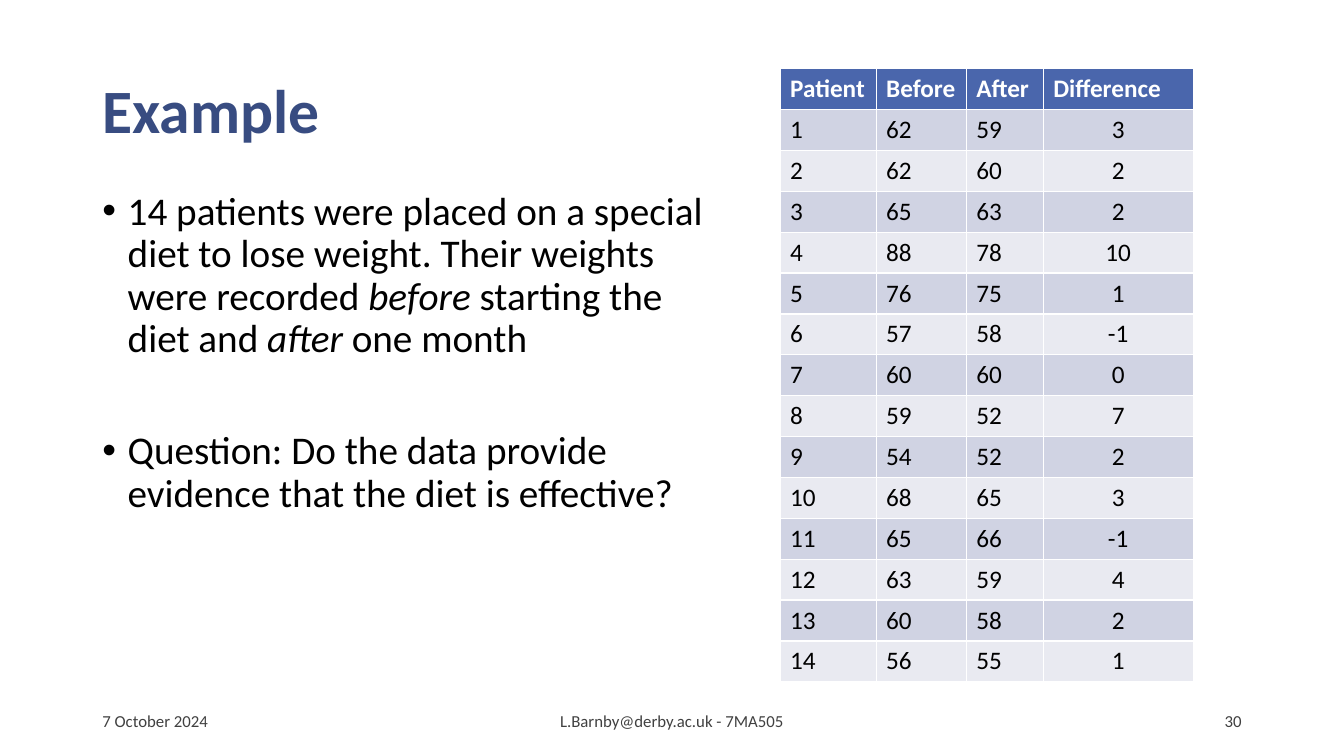
from lxml.etree import SubElement
from pptx import Presentation
from pptx.dml.color import RGBColor
from pptx.enum.text import MSO_ANCHOR, PP_ALIGN
from pptx.oxml.ns import qn
from pptx.util import Cm, Pt

FONT = "Calibri"
NAVY = RGBColor(0x38, 0x4C, 0x81)
HEADER_BLUE = RGBColor(0x4A, 0x66, 0xAC)
BAND_DARK = RGBColor(0xD0, 0xD3, 0xE3)
BAND_LIGHT = RGBColor(0xE9, 0xEA, 0xF1)
GREY = RGBColor(0x40, 0x40, 0x40)
BLACK = RGBColor(0, 0, 0)
WHITE = RGBColor(0xFF, 0xFF, 0xFF)


def add_text_box(left, top, width, height, anchor):
    sp = slide.shapes.add_textbox(Cm(left), Cm(top), Cm(width), Cm(height))
    tf = sp.text_frame
    tf.word_wrap = True
    tf.vertical_anchor = anchor
    return tf


def format_run(r, size, color, bold=False, italic=False):
    r.font.name = FONT
    r.font.size = Pt(size)
    r.font.color.rgb = color
    r.font.bold = bold
    r.font.italic = italic


prs = Presentation()
prs.slide_width = Cm(33.87)
prs.slide_height = Cm(19.05)
slide = prs.slides.add_slide(prs.slide_layouts[6])

tf = add_text_box(2.33, 1.01, 29.21, 3.68, MSO_ANCHOR.MIDDLE)
tf.text = "Example"
tf.paragraphs[0].line_spacing = 0.9
format_run(tf.paragraphs[0].runs[0], 44, NAVY, bold=True)

bullets = [
    (0, [
        ("14 patients were placed on a special diet to lose weight. "
         "Their weights were recorded ", False),
        ("before", True),
        (" starting the diet and ", False),
        ("after", True),
        (" one month", False),
    ]),
    (50, [("Question: Do the data provide evidence that the diet is effective?", False)]),
]
tf = add_text_box(2.33, 4.7, 15.82, 12.47, MSO_ANCHOR.TOP)
for i, (space_before, parts) in enumerate(bullets):
    p = tf.add_paragraph() if i else tf.paragraphs[0]
    p.line_spacing = 0.9
    p.space_before = Pt(space_before)
    pPr = p._p.get_or_add_pPr()
    pPr.set("marL", str(Cm(0.64)))
    pPr.set("indent", str(-Cm(0.64)))
    SubElement(pPr, qn("a:buFont")).set("typeface", "Arial")
    SubElement(pPr, qn("a:buChar")).set("char", "•")
    for text, italic in parts:
        r = p.add_run()
        r.text = text
        format_run(r, 28, BLACK, italic=italic)

footers = [
    ("7 October 2024", 2.33, 7.62, PP_ALIGN.LEFT),
    ("L.Barnby@derby.ac.uk - 7MA505", 11.22, 11.43, PP_ALIGN.CENTER),
    ("30", 23.92, 7.62, PP_ALIGN.RIGHT),
]
for text, left, width, align in footers:
    tf = add_text_box(left, 17.66, width, 1.01, MSO_ANCHOR.MIDDLE)
    tf.text = text
    tf.paragraphs[0].alignment = align
    format_run(tf.paragraphs[0].runs[0], 12, GREY)

before = [62, 62, 65, 88, 76, 57, 60, 59, 54, 68, 65, 63, 60, 56]
after = [59, 60, 63, 78, 75, 58, 60, 52, 52, 65, 66, 59, 58, 55]
rows = [("Patient", "Before", "After", "Difference")]
for patient, (b, a) in enumerate(zip(before, after), start=1):
    rows.append((patient, b, a, b - a))

col_widths = [2.42, 2.27, 1.94, 3.78]
row_height = 1.03
table = slide.shapes.add_table(
    len(rows), len(col_widths), Cm(19.66), Cm(1.73),
    Cm(sum(col_widths)), Cm(row_height * len(rows))).table
for column, width in zip(table.columns, col_widths):
    column.width = Cm(width)
for i, row in enumerate(rows):
    table.rows[i].height = Cm(row_height)
    header = i == 0
    band = HEADER_BLUE if header else BAND_DARK if i % 2 else BAND_LIGHT
    for j, value in enumerate(row):
        cell = table.cell(i, j)
        cell.fill.solid()
        cell.fill.fore_color.rgb = band
        cell.text_frame.text = str(value)
        p = cell.text_frame.paragraphs[0]
        if j == 3 and not header:
            p.alignment = PP_ALIGN.CENTER
        format_run(p.runs[0], 18, WHITE if header else BLACK, bold=header)

prs.save("out.pptx")
